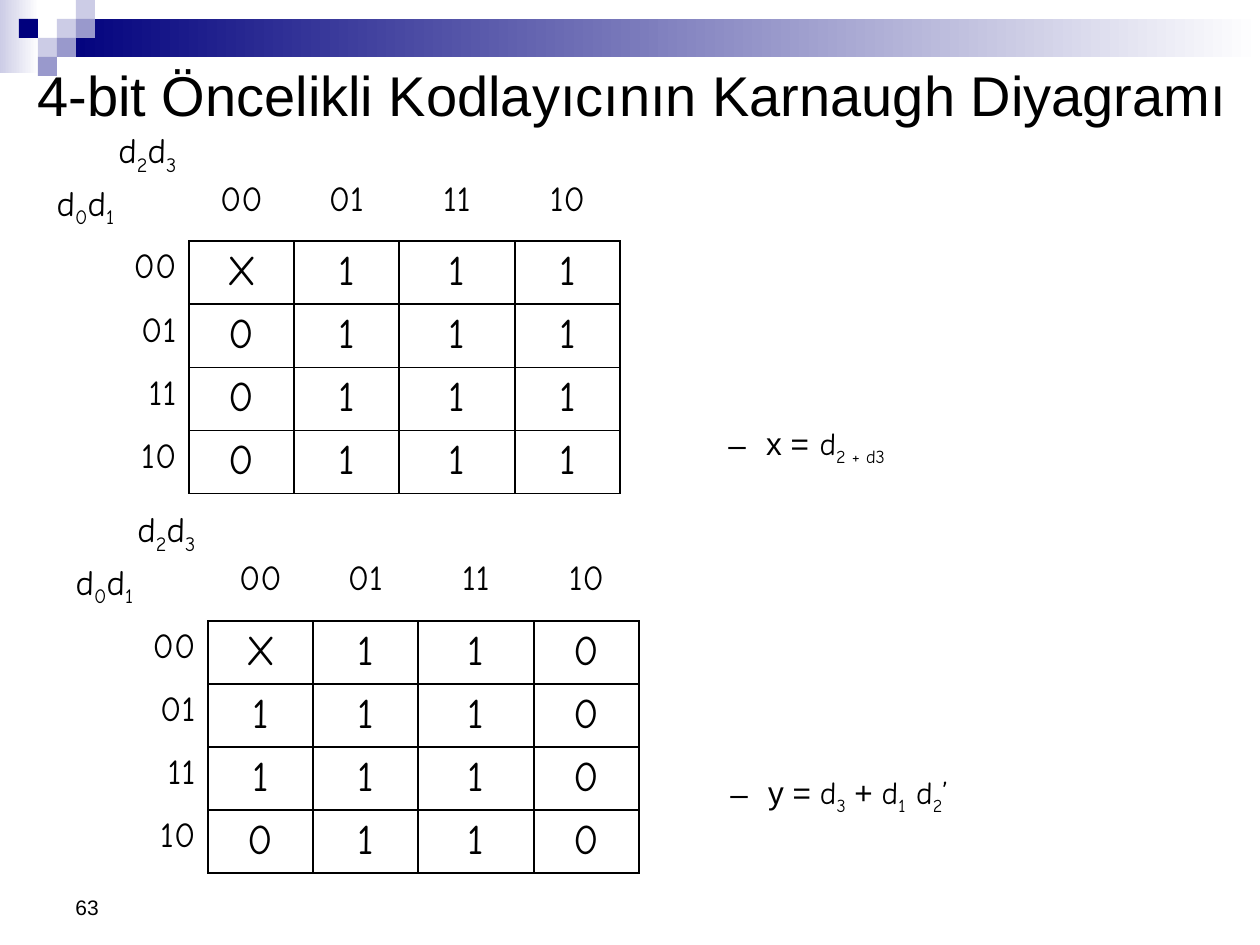
from lxml.etree import SubElement
from pptx import Presentation
from pptx.dml.color import RGBColor
from pptx.enum.shapes import MSO_SHAPE as Preset
from pptx.enum.text import MSO_ANCHOR as Anchor, PP_ALIGN as Align
from pptx.oxml.ns import qn
from pptx.util import Emu, Pt

PX = 914400 / 126
NO_GRID_STYLE = "{2D5ABB26-0587-4C30-8999-92F81FD0307C}"
GRAY_CODE = ["00", "01", "11", "10"]


def px(length):
    return Emu(round(length * PX))


def color(value):
    return RGBColor.from_string(value)


def variables(*digits):
    return [run for digit in digits for run in (("d", "hand"), (digit, "sub"))]


class SlideBuilder:
    ink = "000000"
    fonts = {"plain": "Arial", "hand": "Comic Neue", "sub": "Comic Neue"}

    def __init__(self, slide):
        self.slide = slide

    def add_runs(self, paragraph, runs, size, align=Align.LEFT):
        paragraph.alignment = align
        for text, kind in runs:
            run = paragraph.add_run()
            run.text = text
            run.font.size = Pt(size)
            run.font.name = self.fonts[kind]
            run.font.color.rgb = color(self.ink)
            if kind == "sub":
                run._r.get_or_add_rPr().set("baseline", "-25000")

    def rectangle(self, left, top, width, height, *colors):
        shape = self.slide.shapes.add_shape(
            Preset.RECTANGLE, px(left), px(top), px(width), px(height))
        shape.shadow.inherit = False
        shape.line.fill.background()
        if len(colors) == 1:
            shape.fill.solid()
            shape.fill.fore_color.rgb = color(colors[0])
            return
        shape.fill.gradient()
        shape.fill.gradient_angle = 0
        for position, (stop, value) in enumerate(zip(shape.fill.gradient_stops, colors)):
            stop.position = position
            stop.color.rgb = color(value)

    def text(self, left, top, width, height, runs, size, anchor=Anchor.TOP, bullet=None):
        box = self.slide.shapes.add_textbox(px(left), px(top), px(width), px(height))
        frame = box.text_frame
        frame.word_wrap = True
        frame.vertical_anchor = anchor
        paragraph = frame.paragraphs[0]
        if bullet:
            properties = paragraph._p.get_or_add_pPr()
            properties.set("marL", str(px(63)))
            properties.set("indent", str(px(-29)))
            SubElement(properties, qn("a:buFont"), typeface=self.fonts["plain"])
            SubElement(properties, qn("a:buChar"), char=bullet)
        self.add_runs(paragraph, runs, size)

    def cell(self, cell, runs, size, align, sides):
        properties = cell._tc.get_or_add_tcPr()
        for side in sides:
            border = SubElement(properties, qn(f"a:ln{side}"), w=str(Pt(1)))
            fill = SubElement(border, qn("a:solidFill"))
            SubElement(fill, qn("a:srgbClr"), val=self.ink)
        cell.fill.background()
        self.add_runs(cell.text_frame.paragraphs[0], runs, size, align)

    def karnaugh_map(self, left, top, header_height, row_height, values):
        widths = [145, 105, 105, 116, 105]
        heights = [header_height] + [row_height] * len(values)
        frame = self.slide.shapes.add_table(
            len(heights), len(widths), px(left), px(top), px(sum(widths)), px(sum(heights)))
        table = frame.table
        table.first_row = table.horz_banding = False
        frame._element.find(".//" + qn("a:tableStyleId")).text = NO_GRID_STYLE
        for column, width in zip(table.columns, widths):
            column.width = px(width)
        for row, height in zip(table.rows, heights):
            row.height = px(height)

        corner = table.cell(0, 0)
        self.cell(corner, variables("2", "3"), 20, Align.RIGHT, "")
        row_variables = corner.text_frame.add_paragraph()
        row_variables.space_before = Pt(4)
        self.add_runs(row_variables, variables("0", "1"), 20)

        for index, (code, row_values) in enumerate(zip(GRAY_CODE, values), start=1):
            heading = table.cell(0, index)
            heading.margin_top = px(54)
            self.cell(heading, [(code, "hand")], 20, Align.CENTER, "B")
            self.cell(table.cell(index, 0), [(code, "hand")], 20, Align.RIGHT, "R")
            for column, value in enumerate(row_values, start=1):
                self.cell(table.cell(index, column), [(value, "hand")], 24, Align.CENTER, "LRTB")


def main():
    presentation = Presentation()
    presentation.slide_width = px(1260)
    presentation.slide_height = px(945)
    builder = SlideBuilder(presentation.slides.add_slide(presentation.slide_layouts[6]))

    builder.rectangle(0, 0, 39, 73, "CCCCE6", "FFFFFF")
    builder.rectangle(57, 19, 1203, 38, "00007D", "FFFFFF")
    square = 19
    for column, row, fill in [
        (3, 1, "CCCCE6"), (4, 0, "CCCCE6"), (4, 1, "9999CC"), (2, 2, "CCCCE6"),
        (1, 1, "00007D"), (3, 2, "9999CC"), (2, 3, "9999CC"),
    ]:
        builder.rectangle(column * square, row * square, square, square, fill)

    builder.text(63, 860, 293, 66, [("63", "plain")], 12, Anchor.BOTTOM)
    builder.text(25, 53, 1235, 82,
                 [("4-bit Öncelikli Kodlayıcının Karnaugh Diyagramı", "plain")], 32, Anchor.MIDDLE)

    builder.karnaugh_map(44, 126, 111, 61, ["X111", "0111", "0111", "0111"])
    builder.text(682, 418, 263, 50,
                 [(" x =", "plain"), (" d", "hand"), ("2", "sub"), (" + d", "sub"), ("3", "sub")],
                 18, bullet="–")

    builder.karnaugh_map(63, 505, 116, 63, ["X110", "1110", "1110", "0110"])
    builder.text(684, 767, 318, 50,
                 [(" y = ", "plain"), *variables("3"), (" + ", "plain"), *variables("1"),
                  (" d", "hand"), ("2", "sub"), ("’", "hand")],
                 18, bullet="–")

    presentation.save("out.pptx")


if __name__ == "__main__":
    main()
